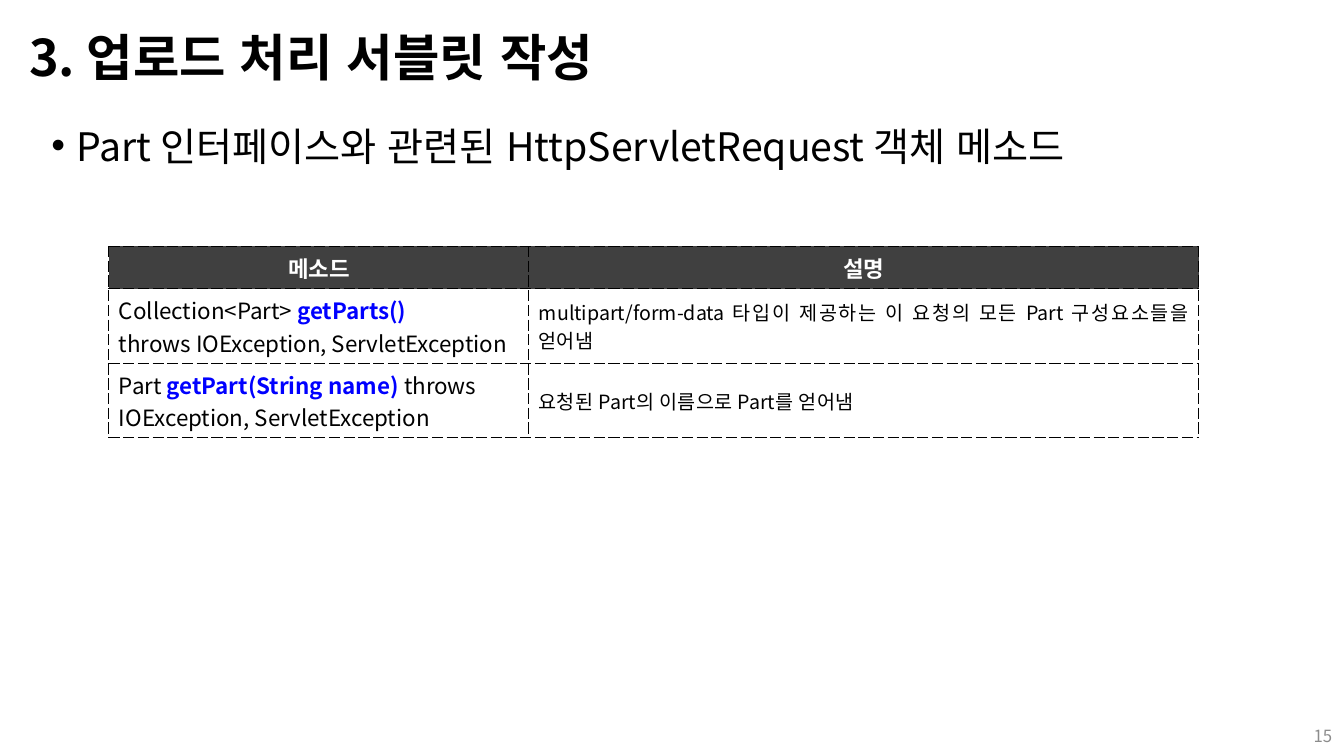
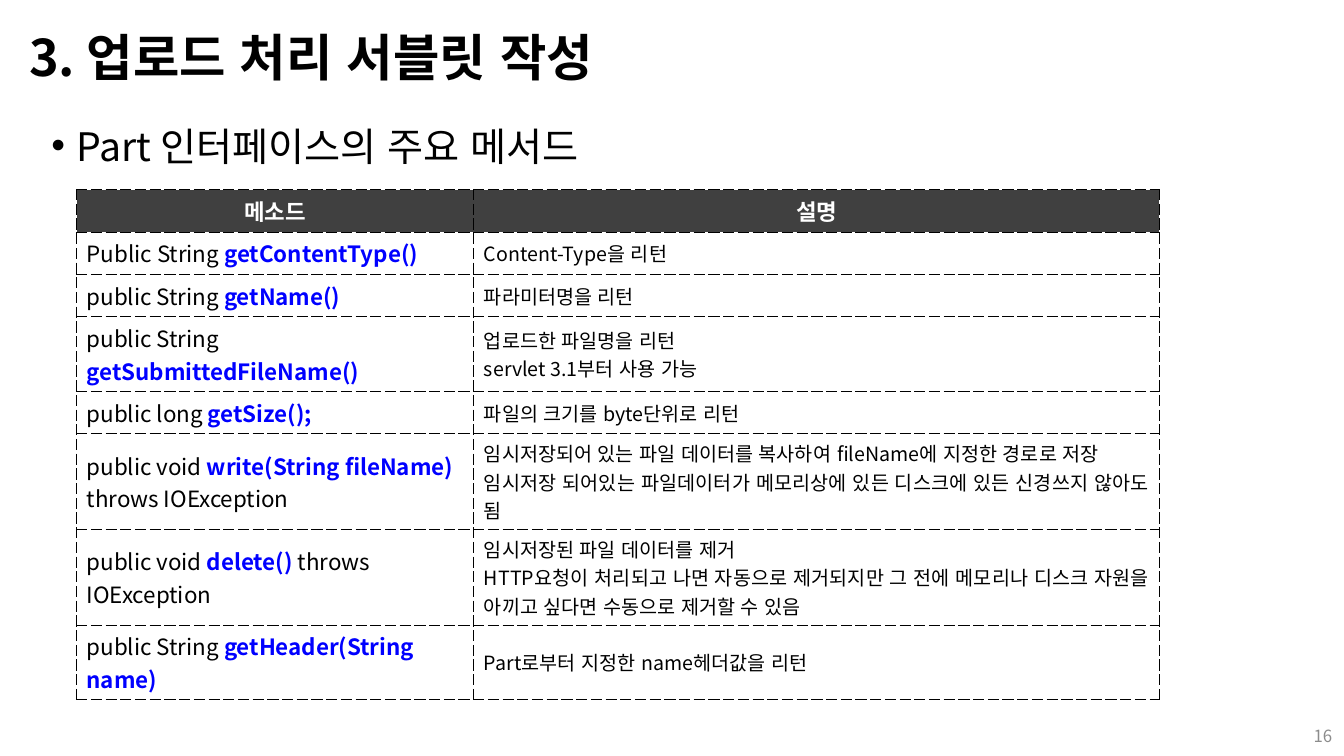
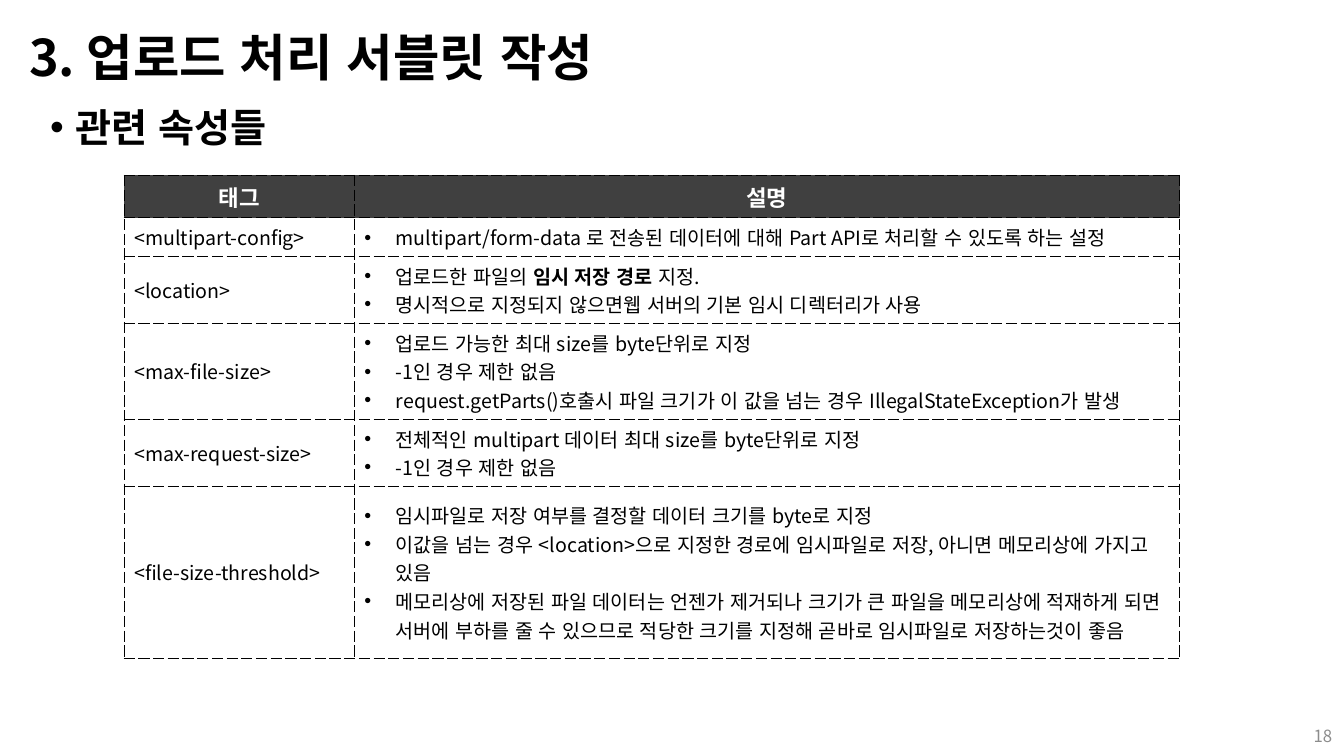
import dataclasses

import lxml.etree
import pptx
import pptx.dml.color
import pptx.enum.lang
import pptx.enum.text
import pptx.oxml.ns
import pptx.util

ALIGN = pptx.enum.text.PP_ALIGN
ANCHOR = pptx.enum.text.MSO_ANCHOR
KOREAN = pptx.enum.lang.MSO_LANGUAGE_ID.KOREAN


@dataclasses.dataclass(frozen=True)
class Theme:
    font: str = "Noto Sans CJK KR"
    bullet_font: str = "Arial"
    ink: str = "000000"
    paper: str = "FFFFFF"
    header: str = "404040"
    method: str = "0000FF"
    muted: str = "8C8C8C"
    title_size: int = 36
    topic_size: int = 28
    method_size: int = 16
    detail_size: int = 14
    number_size: int = 12
    border: float = 0.75


THEME = Theme()
WIDTH = pptx.util.Inches(13.33)
HEIGHT = pptx.util.Inches(7.5)
TITLE = "3. 업로드 처리 서블릿 작성"
SINGLE, DOUBLE, TRIPLE = 5.62, 9.84, 12.65


def across(percent):
    return round(WIDTH * percent / 100)


def down(percent):
    return round(HEIGHT * percent / 100)


def rgb(value):
    return pptx.dml.color.RGBColor.from_string(value)


def add_element(parent, tag, **attributes):
    return lxml.etree.SubElement(parent, pptx.oxml.ns.qn(tag), attributes)


def set_bullet(para, indent):
    properties = para._p.get_or_add_pPr()
    length = pptx.util.Inches(indent)
    properties.set("marL", str(length))
    properties.set("indent", str(-length))
    add_element(properties, "a:buFont", typeface=THEME.bullet_font)
    add_element(properties, "a:buChar", char="•")


def write_para(para, text, size, color=THEME.ink, bold=False, align=ALIGN.LEFT,
               indent=0, accent=THEME.ink):
    if indent:
        set_bullet(para, indent)
    para.alignment = align
    font = para.font
    font.name, font.size, font.bold = THEME.font, pptx.util.Pt(size), bold
    font.color.rgb = rgb(color)
    defaults = para._p.pPr.defRPr
    defaults.set("kern", "0")
    add_element(defaults, "a:ea", typeface=THEME.font)
    for index, part in enumerate(text.split("|")):
        if part:
            span = para.add_run()
            span.text = part
            span.font.language_id = KOREAN
            if index % 2:
                span.font.bold = True
                span.font.color.rgb = rgb(accent)


def add_text(page, left, top, width, height, text, anchor=ANCHOR.MIDDLE, **style):
    box = page.shapes.add_textbox(across(left), down(top), across(width), down(height))
    frame = box.text_frame
    frame.word_wrap = True
    frame.vertical_anchor = anchor
    write_para(frame.paragraphs[0], text, **style)
    return frame.paragraphs[0]


def add_page(deck, number, topic, left=3.08, top=15.47, bold=False):
    page = deck.slides.add_slide(deck.slide_layouts[6])
    title = add_text(page, 1.43, 2.53, 97, 10.8, TITLE, size=THEME.title_size, bold=True)
    title.line_spacing = 0.9
    add_text(page, left, top, 93.85, 81.87, topic, ANCHOR.TOP,
             size=THEME.topic_size, bold=bold, indent=0.25)
    add_text(page, 96.12, 94.67, 3.75, 5.33, str(number), size=THEME.number_size,
             color=THEME.muted, align=ALIGN.RIGHT)
    return page


def draw_borders(cell):
    properties = cell._tc.get_or_add_tcPr()
    for side in "LRTB":
        line = add_element(properties, f"a:ln{side}", w=str(pptx.util.Pt(THEME.border)))
        fill = add_element(line, "a:solidFill")
        add_element(fill, "a:srgbClr", val=THEME.ink)
        add_element(line, "a:prstDash", val="sysDash")


def fill_cell(cell, lines, fill=None, **style):
    draw_borders(cell)
    cell.vertical_anchor = ANCHOR.MIDDLE
    if fill:
        cell.fill.solid()
        cell.fill.fore_color.rgb = rgb(fill)
    else:
        cell.fill.background()
    frame = cell.text_frame
    for index, text in enumerate(lines):
        para = frame.add_paragraph() if index else frame.paragraphs[0]
        write_para(para, text, **style)


def add_grid(page, left, top, columns, rows, heading, records, styles):
    table = page.shapes.add_table(len(rows), len(columns), across(left), down(top),
                                  across(sum(columns)), down(sum(rows))).table
    table.first_row = table.horz_banding = False
    for column, width in zip(table.columns, columns):
        column.width = across(width)
    for row, height in zip(table.rows, rows):
        row.height = down(height)
    for index, text in enumerate(heading):
        fill_cell(table.cell(0, index), [text], THEME.header, size=THEME.method_size,
                  color=THEME.paper, bold=True, align=ALIGN.CENTER)
    for row, record in enumerate(records, 1):
        for index, lines in enumerate(record):
            fill_cell(table.cell(row, index), lines, **styles[index])


def add_method_grid(page, left, top, columns, rows, records):
    styles = [dict(size=THEME.method_size, accent=THEME.method),
              dict(size=THEME.detail_size, align=ALIGN.JUSTIFY)]
    add_grid(page, left, top, columns, rows, ["메소드", "설명"], records, styles)


def add_tag_grid(page, left, top, columns, rows, records):
    styles = [dict(size=THEME.detail_size), dict(size=THEME.detail_size, indent=0.31)]
    add_grid(page, left, top, columns, rows, ["태그", "설명"], records, styles)


REQUEST_METHODS = [
    (["Collection<Part> |getParts()|", "throws IOException, ServletException"],
     ["multipart/form-data 타입이 제공하는 이 요청의 모든 Part 구성요소들을 얻어냄"]),
    (["Part |getPart(String name) |throws IOException, ServletException"],
     ["요청된 Part의 이름으로 Part를 얻어냄"]),
]

PART_METHODS = [
    (["Public String |getContentType()|"], ["Content-Type을 리턴"]),
    (["public String |getName()|"], ["파라미터명을 리턴"]),
    (["public String |getSubmittedFileName()|"],
     ["업로드한 파일명을 리턴", "servlet 3.1부터 사용 가능"]),
    (["public long |getSize();|"], ["파일의 크기를 byte단위로 리턴"]),
    (["public void |write(String fileName) |throws IOException"],
     ["임시저장되어 있는 파일 데이터를 복사하여 fileName에 지정한 경로로 저장",
      "임시저장 되어있는 파일데이터가 메모리상에 있든 디스크에 있든 신경쓰지 않아도 됨"]),
    (["public void |delete() |throws IOException"],
     ["임시저장된 파일 데이터를 제거",
      "HTTP요청이 처리되고 나면 자동으로 제거되지만 그 전에 메모리나 디스크 자원을 "
      "아끼고 싶다면 수동으로 제거할 수 있음"]),
    (["public String |getHeader(String name)|"],
     ["Part로부터 지정한 name헤더값을 리턴"]),
]

CONFIG_TAGS = [
    (["<multipart-config>"],
     ["multipart/form-data 로 전송된 데이터에 대해 Part API로 처리할 수 있도록 하는 설정"]),
    (["<location>"],
     ["업로드한 파일의 |임시 저장 경로 |지정.",
      "명시적으로 지정되지 않으면웹 서버의 기본 임시 디렉터리가 사용"]),
    (["<max-file-size>"],
     ["업로드 가능한 최대 size를 byte단위로 지정",
      "-1인 경우 제한 없음",
      "request.getParts()호출시 파일 크기가 이 값을 넘는 경우 IllegalStateException가 발생"]),
    (["<max-request-size>"],
     ["전체적인 multipart 데이터 최대 size를 byte단위로 지정",
      "-1인 경우 제한 없음"]),
    (["<file-size-threshold>"],
     ["임시파일로 저장 여부를 결정할 데이터 크기를 byte로 지정",
      "이값을 넘는 경우 <location>으로 지정한 경로에 임시파일로 저장, 아니면 메모리상에 "
      "가지고 있음",
      "메모리상에 저장된 파일 데이터는 언젠가 제거되나 크기가 큰 파일을 메모리상에 적재하게 되면 "
      "서버에 부하를 줄 수 있으므로 적당한 크기를 지정해 곧바로 임시파일로 저장하는것이 좋음"]),
]


def main():
    deck = pptx.Presentation()
    deck.slide_width, deck.slide_height = WIDTH, HEIGHT

    page = add_page(deck, 15, "Part 인터페이스와 관련된 HttpServletRequest 객체 메소드")
    add_method_grid(page, 8.1, 32.6, [31.25, 49.85], [SINGLE, DOUBLE, DOUBLE],
                    REQUEST_METHODS)

    page = add_page(deck, 16, "Part 인터페이스의 주요 메서드")
    add_method_grid(page, 5.7, 25.07, [29.56, 51.01],
                    [SINGLE, SINGLE, SINGLE, DOUBLE, SINGLE, TRIPLE, TRIPLE, DOUBLE],
                    PART_METHODS)

    page = add_page(deck, 18, "관련 속성들", left=3, top=13.07, bold=True)
    add_tag_grid(page, 9.23, 23.2, [17.14, 61.4],
                 [SINGLE, 5.07, 8.9, TRIPLE, 8.95, 22.67], CONFIG_TAGS)

    deck.save("out.pptx")


if __name__ == "__main__":
    main()
